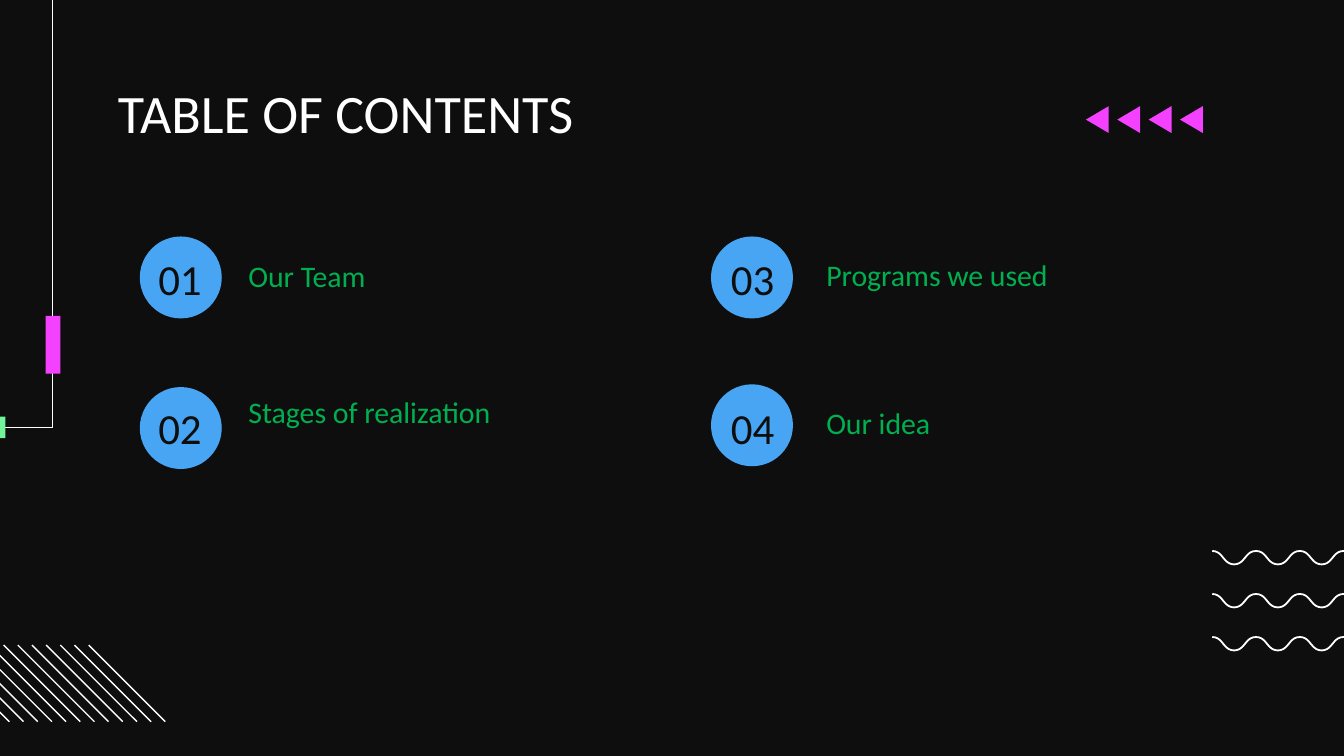
from dataclasses import dataclass
from typing import Any

from pptx import Presentation
from pptx.dml.color import RGBColor as Rgb
from pptx.enum.shapes import MSO_CONNECTOR as Link, MSO_SHAPE as Kind
from pptx.enum.text import MSO_ANCHOR as Anchor, PP_ALIGN as Align
from pptx.oxml.ns import qn
from pptx.util import Inches, Pt

HUES = {
    "dark": "0E0E0E",
    "white": "FFFFFF",
    "pink": "F341FF",
    "mint": "72F49A",
    "blue": "47A5F3",
    "green": "00B050",
}

Point = tuple[float, float]


@dataclass
class Box:
    left: float
    top: float
    width: float
    height: float


@dataclass
class Style:
    size: int
    hue: str
    inset: float = 0
    align: Any = Align.LEFT
    lead: float = 1
    after: int = 0


@dataclass
class Item:
    code: str
    label: str
    disc: Point
    digit: Point
    text: Box
    style: Style


HEAD = Style(29, "white")
DIGIT = Style(23, "dark", 0.2, Align.CENTER)
LABEL = Style(16, "green", lead=1.15, after=12)
PLAIN = Style(16, "green", 0.05)

ITEMS = [
    Item("01", "Our Team", (1.04, 1.76), (0.89, 1.68), Box(1.75, 1.88, 3.16, 0.39), LABEL),
    Item("02", "Stages of realization", (1.04, 2.88), (0.89, 2.79), Box(1.75, 2.88, 2.29, 0.64), PLAIN),
    Item("03", "Programs we used", (5.29, 1.76), (5.15, 1.68), Box(6.05, 1.87, 3.16, 0.39), LABEL),
    Item("04", "Our idea", (5.29, 2.86), (5.15, 2.79), Box(6.05, 2.97, 3.16, 0.39), LABEL),
]


def color(hue: str) -> Rgb:
    return Rgb.from_string(HUES[hue])


def apply(target: Any, values: dict[str, Any]) -> None:
    for name, value in values.items():
        setattr(target, name, value)


def place(box: Box) -> list[int]:
    return [Inches(n) for n in (box.left, box.top, box.width, box.height)]


def paint(shape: Any, hue: str) -> None:
    shape.shadow.inherit = False
    shape.fill.solid()
    shape.fill.fore_color.rgb = color(hue)
    shape.line.fill.background()


def stroke(shape: Any, width: float) -> None:
    shape.line.color.rgb = color("white")
    shape.line.width = Pt(width)


def draw_solid(slide: Any, kind: Any, box: Box, hue: str) -> None:
    paint(slide.shapes.add_shape(kind, *place(box)), hue)


def trace(slide: Any, points: list[Point], close: bool) -> Any:
    spots = [(Inches(x), Inches(y)) for x, y in points]
    pen = slide.shapes.build_freeform(*spots[0])
    pen.add_line_segments(spots[1:], close=close)
    return pen.convert_to_shape()


def draw_path(slide: Any, points: list[Point], width: float) -> None:
    shape = trace(slide, points, False)
    shape.shadow.inherit = False
    shape.fill.background()
    stroke(shape, width)


def draw_wave(slide: Any, left: float, top: float) -> None:
    half, depth, steps = 1.14 / 7, 0.1, 10
    points = [(left, top)]
    for turn in range(7):
        for step in range(1, steps + 1):
            t = step / steps
            across = 1.5 * t * (1 - t) + t**3
            down = 3 * t**2 - 2 * t**3
            drop = 1 - down if turn % 2 else down
            points.append((left + half * (turn + across), top + depth * drop))
    draw_path(slide, points, 0.95)


def draw_hatch(slide: Any, left: float, top: float, side: float) -> None:
    ends = [Inches(n) for n in (left, top, left + side, top + side)]
    line = slide.shapes.add_connector(Link.STRAIGHT, *ends)
    stroke(line, 0.75)
    props = line._element.spPr
    props.append(props.makeelement(qn("a:effectLst"), {}))


def draw_arrow(slide: Any, left: float, top: float) -> None:
    right, low = left + 0.17, top + 0.2
    paint(trace(slide, [(right, top), (left, top + 0.1), (right, low)], True), "pink")


def write(slide: Any, text: str, box: Box, style: Style) -> None:
    frame = slide.shapes.add_textbox(*place(box)).text_frame
    apply(frame, {
        "word_wrap": True,
        "vertical_anchor": Anchor.TOP,
        "margin_left": Inches(0.1),
        "margin_right": Inches(0.1),
        "margin_top": Inches(style.inset),
        "margin_bottom": Inches(0.1),
    })
    para = frame.paragraphs[0]
    apply(para, {
        "alignment": style.align,
        "line_spacing": style.lead,
        "space_after": Pt(style.after),
    })
    run = para.add_run()
    run.text = text
    apply(run.font, {"name": "Calibri", "size": Pt(style.size)})
    run.font.color.rgb = color(style.hue)


def main() -> None:
    deck = Presentation()
    apply(deck, {"slide_width": Inches(10), "slide_height": Inches(10 * 9 / 16)})
    slide = deck.slides.add_slide(deck.slide_layouts[6])
    slide.background.fill.solid()
    slide.background.fill.fore_color.rgb = color("dark")

    for row in range(3):
        draw_wave(slide, 9.02, 4.1 + 0.32 * row)
    for col in range(12):
        draw_hatch(slide, -0.5 + 1.16 * col / 11, 4.8, 0.57)

    draw_path(slide, [(-3.93, 3.18), (0.39, 3.18), (0.39, -0.22)], 0.75)
    draw_solid(slide, Kind.RECTANGLE, Box(-0.12, 3.1, 0.16, 0.16), "mint")
    draw_solid(slide, Kind.RECTANGLE, Box(0.34, 2.35, 0.11, 0.43), "pink")

    write(slide, "TABLE OF CONTENTS", Box(0.78, 0.59, 8.44, 0.46), HEAD)
    for item in ITEMS:
        draw_solid(slide, Kind.OVAL, Box(*item.disc, 0.61, 0.61), "blue")
        write(slide, item.code, Box(*item.digit, 0.9, 0.61), DIGIT)
        write(slide, item.label, item.text, item.style)

    for col in range(4):
        draw_arrow(slide, 8.08 + 0.7 * col / 3, 0.79)

    deck.save("out.pptx")


if __name__ == "__main__":
    main()
